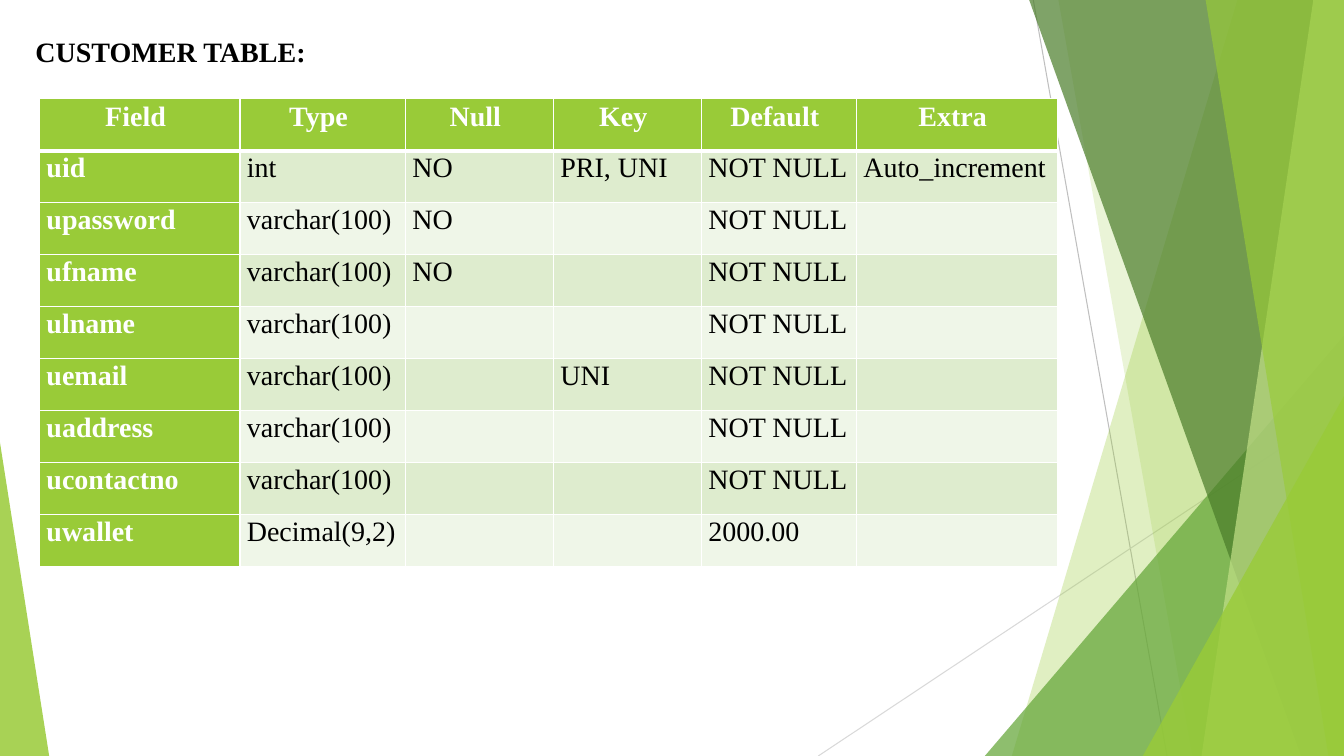
from pptx import Presentation
from pptx.dml.color import RGBColor
from pptx.enum.shapes import MSO_CONNECTOR, MSO_SHAPE
from pptx.enum.text import MSO_ANCHOR, PP_ALIGN
from pptx.oxml.ns import qn
from pptx.util import Cm, Pt
from lxml import etree

STRAIGHT = MSO_CONNECTOR.STRAIGHT
TRIANGLE = MSO_SHAPE.ISOSCELES_TRIANGLE
MIDDLE = MSO_ANCHOR.MIDDLE
CENTER, LEFT = PP_ALIGN.CENTER, PP_ALIGN.LEFT
WHITE = RGBColor(0xFF, 0xFF, 0xFF)
BLACK = RGBColor(0x00, 0x00, 0x00)
SILVER = RGBColor(0xBF, 0xBF, 0xBF)
MIST = RGBColor(0xD9, 0xD9, 0xD9)
LIME = RGBColor(0x99, 0xCB, 0x38)
GREEN = RGBColor(0x63, 0xA5, 0x37)
FOREST = RGBColor(0x4A, 0x7C, 0x29)
PALE = RGBColor(0xC2, 0xE0, 0x88)
BANDS = [RGBColor(0xEF, 0xF6, 0xE8), RGBColor(0xDE, 0xEC, 0xCE)]
FONT = "Times New Roman"
WIDE, HIGH = 33.87, 19.05


def write(para, text, color, bold):
    run = para.add_run()
    run.text = text
    run.font.name = FONT
    run.font.size = Pt(20)
    run.font.bold = bold
    run.font.color.rgb = color


def edge(props, side, width):
    line = etree.SubElement(props, qn("a:" + side), w=str(Pt(width)))
    fill = etree.SubElement(line, qn("a:solidFill"))
    etree.SubElement(fill, qn("a:srgbClr"), val=str(WHITE))


deck = Presentation()
deck.slide_width, deck.slide_height = Cm(WIDE), Cm(HIGH)
slide = deck.slides.add_slide(deck.slide_layouts[6])
shapes = slide.shapes

for color, *ends in [
    (SILVER, 26.04, 0, 29.41, HIGH),
    (MIST, WIDE, 10.24, 20.62, HIGH),
]:
    line = shapes.add_connector(STRAIGHT, *[Cm(end) for end in ends])
    line.line.color.rgb = color
    line.line.width = Pt(0.75)
    etree.SubElement(line.element.spPr, qn("a:effectLst"))

# Bands hold top and foot; triangles hold left, top, width and apex.
facets = [
    (LIME, 30, (31.19, 25.5)),
    (LIME, 20, (26.67, 30.05)),
    (GREEN, 72, (24.82, 8.46, 9.05, 1)),
    (FOREST, 70, (25.93, 32.79)),
    (PALE, 70, (33.1, 30.28)),
    (LIME, 65, (30.38, 33.48)),
    (LIME, 80, (28.8, 9.98, 5.07, 1)),
    (LIME, 85, (0, 11.15, 1.24, 0)),
]
for color, alpha, form in facets:
    if len(form) == 2:
        top, foot = form
        pen = shapes.build_freeform(Cm(top), Cm(-0.02))
        pen.add_line_segments(
            [(Cm(WIDE), Cm(-0.02)), (Cm(WIDE), Cm(HIGH)), (Cm(foot), Cm(HIGH))]
        )
        facet = pen.convert_to_shape()
    else:
        left, top, width, apex = form
        facet = shapes.add_shape(
            TRIANGLE, Cm(left), Cm(top), Cm(width), Cm(HIGH - top)
        )
        facet.adjustments[0] = apex
    facet.shadow.inherit = False
    facet.fill.solid()
    facet.fill.fore_color.rgb = color
    facet.line.fill.background()
    tint = facet.element.spPr.find(".//" + qn("a:srgbClr"))
    etree.SubElement(tint, qn("a:alpha"), val=str(alpha * 1000))

rows = [
    ("Field ", "Type ", "Null ", "Key ", "Default ", "Extra "),
    ("uid", "int", "NO", "PRI, UNI", "NOT NULL", "Auto_increment "),
    ("upassword", "varchar(100)", "NO", "", "NOT NULL", ""),
    ("ufname", "varchar(100)", "NO", "", "NOT NULL", ""),
    ("ulname", "varchar(100)", "", "", "NOT NULL", ""),
    ("uemail", "varchar(100)", "", "UNI", "NOT NULL", ""),
    ("uaddress", "varchar(100)", "", "", "NOT NULL", ""),
    ("ucontactno", "varchar(100)", "", "", "NOT NULL", ""),
    ("uwallet", "Decimal(9,2)", "", "", "2000.00", ""),
]
widths = [5.05, 4.17, 3.73, 3.73, 3.91, 5.05]
pitch = 1.31
table = shapes.add_table(
    len(rows), len(widths), Cm(1), Cm(2.49), Cm(sum(widths)), Cm(pitch * len(rows))
).table
for col, width in zip(table.columns, widths):
    col.width = Cm(width)
for r, row in enumerate(rows):
    table.rows[r].height = Cm(pitch)
    for c, text in enumerate(row):
        cell = table.cell(r, c)
        cell.margin_left = cell.margin_top = cell.margin_bottom = 0
        cell.margin_right = Cm(0.1)
        props = cell._tc.get_or_add_tcPr()
        edge(props, "lnL", 1)
        edge(props, "lnR", 1)
        edge(props, "lnT", 3 if r == 1 else 1)
        edge(props, "lnB", 3 if r == 0 else 1)
        head = r == 0 or c == 0
        cell.fill.solid()
        cell.fill.fore_color.rgb = LIME if head else BANDS[r % 2]
        if text:
            para = cell.text_frame.paragraphs[0]
            para.alignment = CENTER if r == 0 else LEFT
            para.line_spacing = 1.07
            para.space_after = Pt(5.5)
            inset = para._p.get_or_add_pPr()
            inset.set("marL", str(Cm(0.08 if r == 0 else 0.19)))
            inset.set("indent", str(Cm(-0.02)))
            write(para, text, WHITE if head else BLACK, head)

title = shapes.add_textbox(Cm(0.64), Cm(0.53), Cm(7.62), Cm(1.55)).text_frame
title.word_wrap = False
title.vertical_anchor = MIDDLE
title.paragraphs[0].alignment = LEFT
write(title.paragraphs[0], "CUSTOMER TABLE:", BLACK, True)

deck.save("out.pptx")
